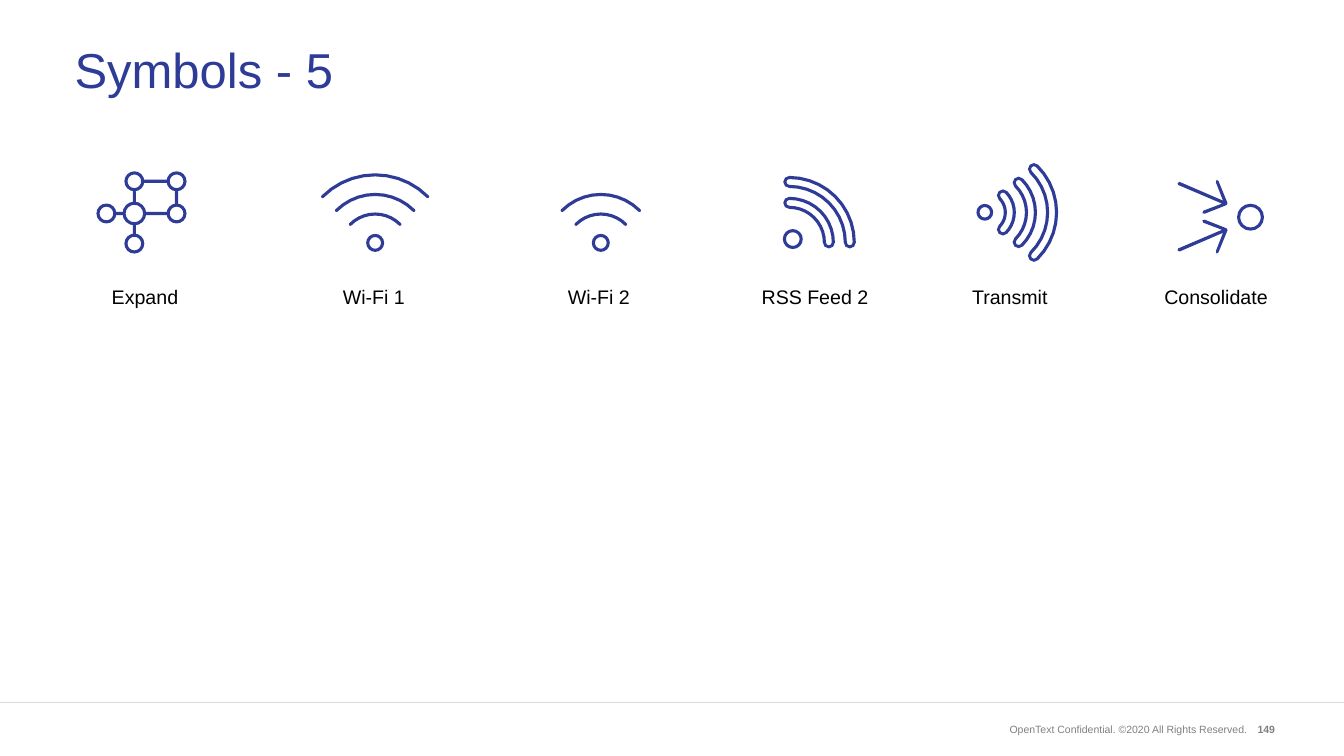
import math

from lxml import etree
from pptx import Presentation
from pptx.dml.color import RGBColor
from pptx.enum.shapes import MSO_CONNECTOR
from pptx.enum.text import MSO_ANCHOR, MSO_AUTO_SIZE, PP_ALIGN
from pptx.oxml.ns import qn
from pptx.util import Pt

NAVY = RGBColor(0x2E, 0x3C, 0x98)
BLACK = RGBColor(0x00, 0x00, 0x00)
GRAY = RGBColor(0x80, 0x80, 0x80)
RULE_GRAY = RGBColor(0xD9, 0xD9, 0xD9)
STRAIGHT = MSO_CONNECTOR.STRAIGHT
MIDDLE = MSO_ANCHOR.MIDDLE
TOP = MSO_ANCHOR.TOP
FIT_SHAPE = MSO_AUTO_SIZE.SHAPE_TO_FIT_TEXT
NO_FIT = MSO_AUTO_SIZE.NONE
LEFT = PP_ALIGN.LEFT
CENTER = PP_ALIGN.CENTER
RIGHT = PP_ALIGN.RIGHT
HALF_STROKE = 2.25
THIN = (HALF_STROKE,)
HOLLOW = (8.65, 4.15)


def add_text(slide, box, text, size, color, align, anchor=TOP, fit=FIT_SHAPE, spacing=1.0, bold=False):
    text_box = slide.shapes.add_textbox(*[Pt(value) for value in box])
    frame = text_box.text_frame
    frame.word_wrap = True
    frame.auto_size = fit
    frame.vertical_anchor = anchor
    paragraph = frame.paragraphs[0]
    paragraph.alignment = align
    paragraph.line_spacing = spacing
    run = paragraph.add_run()
    run.text = text
    run.font.name = "Arial"
    run.font.size = Pt(size)
    run.font.bold = bold
    run.font.color.rgb = color


def arc_points(center_x, center_y, radius, start, end, steps):
    angles = [math.radians(start + (end - start) * step / steps) for step in range(steps + 1)]
    return [(center_x + radius * math.cos(angle), center_y + radius * math.sin(angle)) for angle in angles]


presentation = Presentation()
presentation.slide_width = Pt(1919.52)
presentation.slide_height = Pt(1080)
slide = presentation.slides.add_slide(presentation.slide_layouts[6])

add_text(slide, (1401.84, 1029.6, 386.64, 25.2), "OpenText Confidential. ©2020 All Rights Reserved.",
         15, GRAY, RIGHT, anchor=MIDDLE)
add_text(slide, (1776.96, 1029.6, 51.12, 25.2), "149", 15, GRAY, RIGHT, bold=True)

footer_rule = slide.shapes.add_connector(STRAIGHT, Pt(0), Pt(1003.68), Pt(1919.52), Pt(1003.68))
footer_rule.line.color.rgb = RULE_GRAY
footer_rule.line.width = Pt(1)
etree.SubElement(footer_rule.element.spPr, qn("a:effectLst"))

add_text(slide, (99.36, 27.36, 1721.52, 152.64), "Symbols - 5", 70, NAVY, LEFT,
         anchor=MIDDLE, fit=NO_FIT, spacing=0.9)

labels = [
    ("Expand", 82.8, 248.4),
    ("Wi-Fi 1", 396, 275.76),
    ("Wi-Fi 2", 714.96, 280.8),
    ("RSS Feed 2", 1013.04, 301.68),
    ("Transmit", 1314.72, 254.88),
    ("Consolidate", 1591.92, 289.44),
]
for label, left, width in labels:
    add_text(slide, (left, 406.8, width, 38.88), label, 28, BLACK, CENTER, spacing=0.93)

hub = (191.9, 305, 14.7)
top_node = (191.9, 259, 12)
corner_node = (252.2, 259, 12)
right_node = (252.2, 305, 12)
left_node = (152, 305, 12)
bottom_node = (191.9, 348, 12)
nodes = [hub, top_node, corner_node, right_node, left_node, bottom_node]
links = [
    (top_node, hub),
    (top_node, corner_node),
    (corner_node, right_node),
    (hub, right_node),
    (left_node, hub),
    (hub, bottom_node),
]
link_bars = []
for (begin_x, begin_y, begin_radius), (end_x, end_y, end_radius) in links:
    if begin_y == end_y:
        left, right = begin_x + begin_radius + HALF_STROKE, end_x - end_radius - HALF_STROKE
        top, bottom = begin_y - HALF_STROKE, begin_y + HALF_STROKE
    else:
        left, right = begin_x - HALF_STROKE, begin_x + HALF_STROKE
        top, bottom = begin_y + begin_radius + HALF_STROKE, end_y - end_radius - HALF_STROKE
    link_bars.append([(left, top), (right, top), (right, bottom), (left, bottom)])

upper_arrow = [
    (1682.6, 264.2), (1745.3, 290.9), (1718.6, 301), (1717.2, 304.6), (1720.8, 305.3),
    (1751.8, 293), (1753.2, 290.2), (1740.2, 258.5), (1737.4, 257), (1736.6, 260.6),
    (1746.7, 286.6), (1684.8, 259.9), (1681.9, 261.4),
]
lower_arrow = [(x, 619.2 - y) for x, y in upper_arrow]

wifi_arcs = [
    [(center_x, 355.8, radius, 225, 315) for radius in radii]
    for center_x, radii in ((535.8, (106, 78, 50)), (858.1, (78, 50)))
]
rss_arcs = [(1127.3, 346.3, radius, -90, 0) for radius in (86.4, 56.5)]
transmit_arcs = [
    (1407.2, 303.5, 35, -44, 44),
    (1412.4, 303.5, 60, -45, 45),
    (1415.6, 303.5, 87, -45.4, 45.4),
]

icons = [
    ([upper_arrow, lower_arrow], [(1786, 310.3, 17)], [], THIN),
    ([], [(1406.5, 303.3, 9.7)], transmit_arcs, HOLLOW),
    ([], [(1132.3, 341.5, 12)], rss_arcs, HOLLOW),
    (link_bars, nodes, [], THIN),
    ([], [(535.8, 347, 10.6)], wifi_arcs[0], THIN),
    ([], [(858.1, 347, 10.6)], wifi_arcs[1], THIN),
]
for polygons, rings, arcs, half_widths in icons:
    contours = list(polygons)
    for center_x, center_y, radius in rings:
        for edge in (radius + HALF_STROKE, radius - HALF_STROKE):
            contours.append(arc_points(center_x, center_y, edge, 0, 360, 16)[:-1])
    for center_x, center_y, radius, start, end in arcs:
        start_point, end_point = arc_points(center_x, center_y, radius, start, end, 1)
        for half_width in half_widths:
            band = arc_points(center_x, center_y, radius + half_width, start, end, 10)
            band += arc_points(*end_point, half_width, end, end + 180, 4)[1:-1]
            band += arc_points(center_x, center_y, radius - half_width, end, start, 10)
            band += arc_points(*start_point, half_width, start + 180, start + 360, 4)[1:-1]
            contours.append(band)

    outlines = [[(Pt(x), Pt(y)) for x, y in contour] for contour in contours]
    builder = slide.shapes.build_freeform(*outlines[0][0])
    builder.add_line_segments(outlines[0][1:], close=True)
    for outline in outlines[1:]:
        builder.move_to(*outline[0])
        builder.add_line_segments(outline[1:], close=True)
    icon = builder.convert_to_shape()
    icon.shadow.inherit = False
    icon.fill.solid()
    icon.fill.fore_color.rgb = NAVY
    icon.line.fill.background()

presentation.save("out.pptx")
